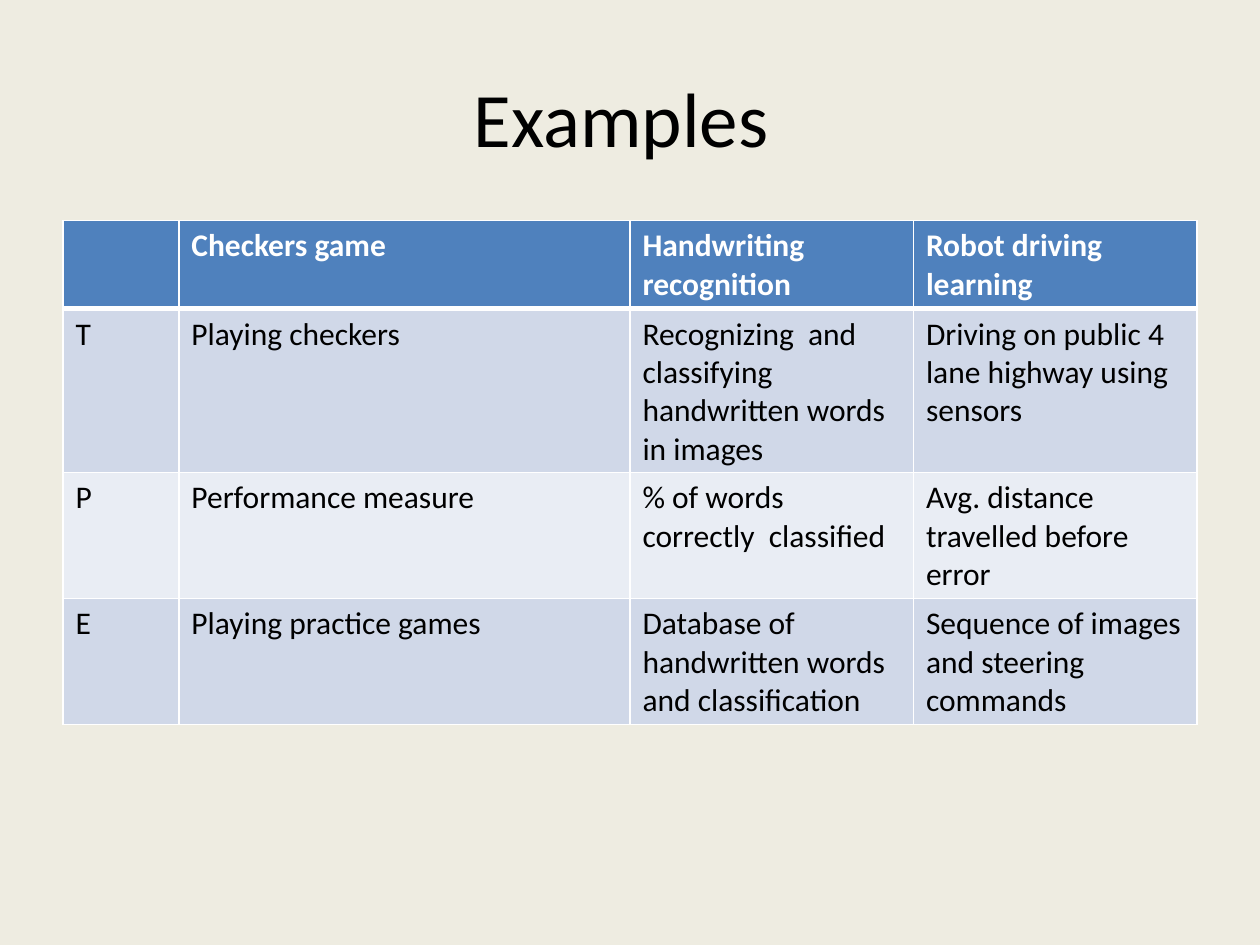
from dataclasses import dataclass

from lxml import etree
from pptx import Presentation
from pptx.dml.color import RGBColor
from pptx.enum.text import MSO_ANCHOR, PP_ALIGN
from pptx.oxml.ns import qn
from pptx.util import Inches, Pt

CENTER = PP_ALIGN.CENTER
MIDDLE = MSO_ANCHOR.MIDDLE
WIDE, HIGH = 10, 7.5
EDGE = 0.05 * WIDE
COLS = (0.92, 3.58, 2.25, 2.25)
ROWS = (0.7, 1.3, 1, 1)
CELLS = (
    ("", "Checkers game", "Handwriting recognition", "Robot driving learning"),
    ("T", "Playing checkers",
     "Recognizing  and classifying  handwritten words in images",
     "Driving on public 4 lane highway using sensors"),
    ("P", "Performance measure", "% of words  correctly  classified",
     "Avg. distance travelled before error"),
    ("E", "Playing practice games",
     "Database of handwritten words and classification",
     "Sequence of images and steering commands"),
)


@dataclass(frozen=True)
class Theme:
    """Hold the colours, font, type sizes and line widths."""
    back: str = "EEECE1"
    head: str = "4F81BD"
    bands: tuple = ("E9EDF4", "D0D8E8")
    ink: str = "000000"
    light: str = "FFFFFF"
    font: str = "Calibri"
    title: int = 44
    body: int = 18
    thin: int = 1
    thick: int = 3


THEME = Theme()


def paint(fill, color):
    """Make a fill solid in one colour."""
    fill.solid()
    fill.fore_color.rgb = RGBColor.from_string(color)


def add_run(para, text, size, color, bold=False):
    """Add one styled run to a paragraph."""
    run = para.add_run()
    run.text = text
    font = run.font
    font.name, font.size, font.bold = THEME.font, Pt(size), bold
    font.color.rgb = RGBColor.from_string(color)


def add_title(slide, text):
    """Add the centred slide title."""
    box = slide.shapes.add_textbox(
        Inches(EDGE), Inches(0.04 * HIGH), Inches(WIDE - 2 * EDGE), Inches(HIGH / 6))
    frame = box.text_frame
    frame.word_wrap = True
    frame.vertical_anchor = MIDDLE
    para = frame.paragraphs[0]
    para.alignment = CENTER
    add_run(para, text, THEME.title, THEME.ink)


def add_edge(cell, side, width):
    """Draw one light border of a cell."""
    line = etree.SubElement(
        cell._tc.get_or_add_tcPr(), qn(f"a:ln{side}"), w=str(Pt(width)))
    fill = etree.SubElement(line, qn("a:solidFill"))
    etree.SubElement(fill, qn("a:srgbClr"), val=THEME.light)


def fill_cell(cell, text, row):
    """Set the borders, fill and text of a cell by its row."""
    head = row == 0
    heavy = {0: "B", 1: "T"}.get(row)
    for side in "LRTB":
        add_edge(cell, side, THEME.thick if side == heavy else THEME.thin)
    paint(cell.fill, THEME.head if head else THEME.bands[row % 2])
    para = cell.text_frame.paragraphs[0]
    para.font.size = Pt(THEME.body)
    if text:
        add_run(para, text, THEME.body, THEME.light if head else THEME.ink, head)


def add_grid(slide):
    """Add the table of learning examples."""
    table = slide.shapes.add_table(
        len(ROWS), len(COLS), Inches(EDGE), Inches(1.75),
        Inches(sum(COLS)), Inches(sum(ROWS))).table
    for col, width in zip(table.columns, COLS):
        col.width = Inches(width)
    for row, (height, texts) in enumerate(zip(ROWS, CELLS)):
        table.rows[row].height = Inches(height)
        for col, text in enumerate(texts):
            fill_cell(table.cell(row, col), text, row)


def main():
    """Build and save the slide."""
    deck = Presentation()
    deck.slide_width, deck.slide_height = Inches(WIDE), Inches(HIGH)
    slide = deck.slides.add_slide(deck.slide_layouts[6])
    paint(slide.background.fill, THEME.back)
    add_title(slide, "Examples ")
    add_grid(slide)
    deck.save("out.pptx")


if __name__ == "__main__":
    main()
